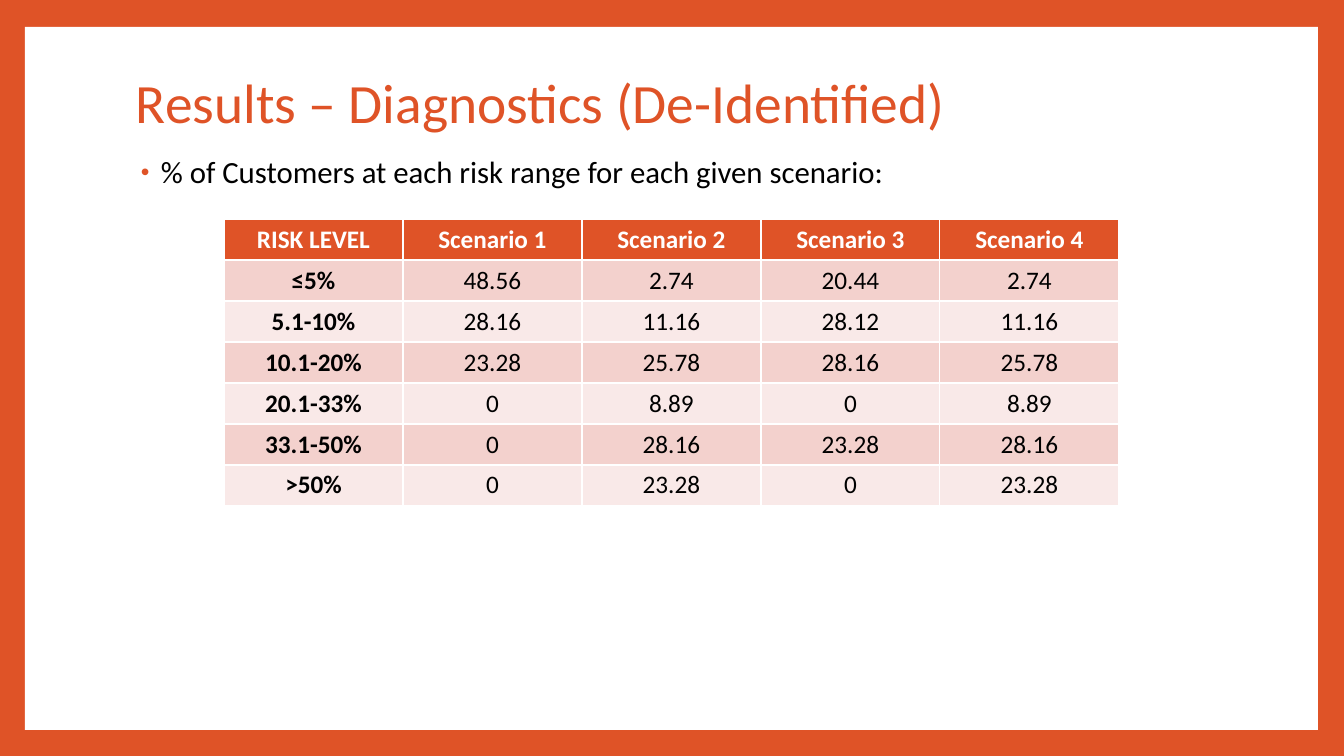
from lxml import etree
from pptx import Presentation, util as u
from pptx.dml.color import RGBColor
from pptx.enum import shapes, text
from pptx.oxml.ns import qn

TITLE = "Results – Diagnostics (De-Identified)"
LEAD = "% of Customers at each risk range for each given scenario:"
ROWS = [
    ("RISK LEVEL", "Scenario 1", "Scenario 2", "Scenario 3", "Scenario 4"),
    ("≤5%", "48.56", "2.74", "20.44", "2.74"),
    ("5.1-10%", "28.16", "11.16", "28.12", "11.16"),
    ("10.1-20%", "23.28", "25.78", "28.16", "25.78"),
    ("20.1-33%", "0", "8.89", "0", "8.89"),
    ("33.1-50%", "0", "28.16", "23.28", "28.16"),
    (">50%", "0", "23.28", "0", "23.28"),
]
ORANGE, WHITE, BLACK = "DF5327", "FFFFFF", "000000"
BANDS = ["F9E9E8", "F3D1CD"]
SIZE = (1344, 756)
PANEL = (25, 27, 1293, 703)
HEAD = (126, 68, 1089, 76)
BODY = (126, 152, 1089, 520)
GRID = (224, 219)
CELL = (179, 41)


def px(*vals):
    return [u.Emu(round(v * 914400 / 100.8)) for v in vals]


def color(code):
    return RGBColor.from_string(code)


def paint(item, code):
    item.fill.solid()
    item.fill.fore_color.rgb = color(code)


def write(frame, words, size, code, bold=False, **form):
    para = frame.paragraphs[0]
    for key, val in form.items():
        setattr(para, key, val)
    run = para.add_run()
    run.text = words
    for key, val in dict(name="Calibri", size=u.Pt(size), bold=bold).items():
        setattr(run.font, key, val)
    run.font.color.rgb = color(code)
    return para


def label(slide, box, anchor, *args, **form):
    frame = slide.shapes.add_textbox(*px(*box)).text_frame
    frame.word_wrap = True
    frame.vertical_anchor = anchor
    return write(frame, *args, line_spacing=0.9, **form)


def bullet(para):
    props = para._p.get_or_add_pPr()
    left, hang = px(25, -20)
    props.set("marL", str(left))
    props.set("indent", str(hang))
    tint = etree.SubElement(props, qn("a:buClr"))
    etree.SubElement(tint, qn("a:srgbClr"), val=ORANGE)
    etree.SubElement(props, qn("a:buSzPct"), val="80000")
    etree.SubElement(props, qn("a:buFont"), typeface="Arial")
    etree.SubElement(props, qn("a:buChar"), char="•")


def fill(slide):
    rows, cols = len(ROWS), len(ROWS[0])
    wide, high = CELL
    box = px(*GRID, wide * cols, high * rows)
    table = slide.shapes.add_table(rows, cols, *box).table
    for col in table.columns:
        col.width = px(wide)[0]
    for r, row in enumerate(ROWS):
        table.rows[r].height = px(high)[0]
        for c, words in enumerate(row):
            cell = table.cell(r, c)
            paint(cell, BANDS[r % 2] if r else ORANGE)
            write(cell.text_frame, words, 18, BLACK if r else WHITE,
                  r == 0 or c == 0, alignment=text.PP_ALIGN.CENTER)


def main():
    """Build the risk diagnostics slide."""
    deck = Presentation()
    deck.slide_width, deck.slide_height = px(*SIZE)
    slide = deck.slides.add_slide(deck.slide_layouts[6])
    paint(slide.background, ORANGE)
    panel = slide.shapes.add_shape(shapes.MSO_SHAPE.RECTANGLE, *px(*PANEL))
    panel.shadow.inherit = False
    panel.line.fill.background()
    paint(panel, WHITE)
    label(slide, HEAD, text.MSO_ANCHOR.MIDDLE, TITLE, 39.6, ORANGE)
    bullet(label(slide, BODY, text.MSO_ANCHOR.TOP, LEAD, 22, BLACK,
                 space_before=u.Pt(14)))
    fill(slide)
    deck.save("out.pptx")


if __name__ == "__main__":
    main()
